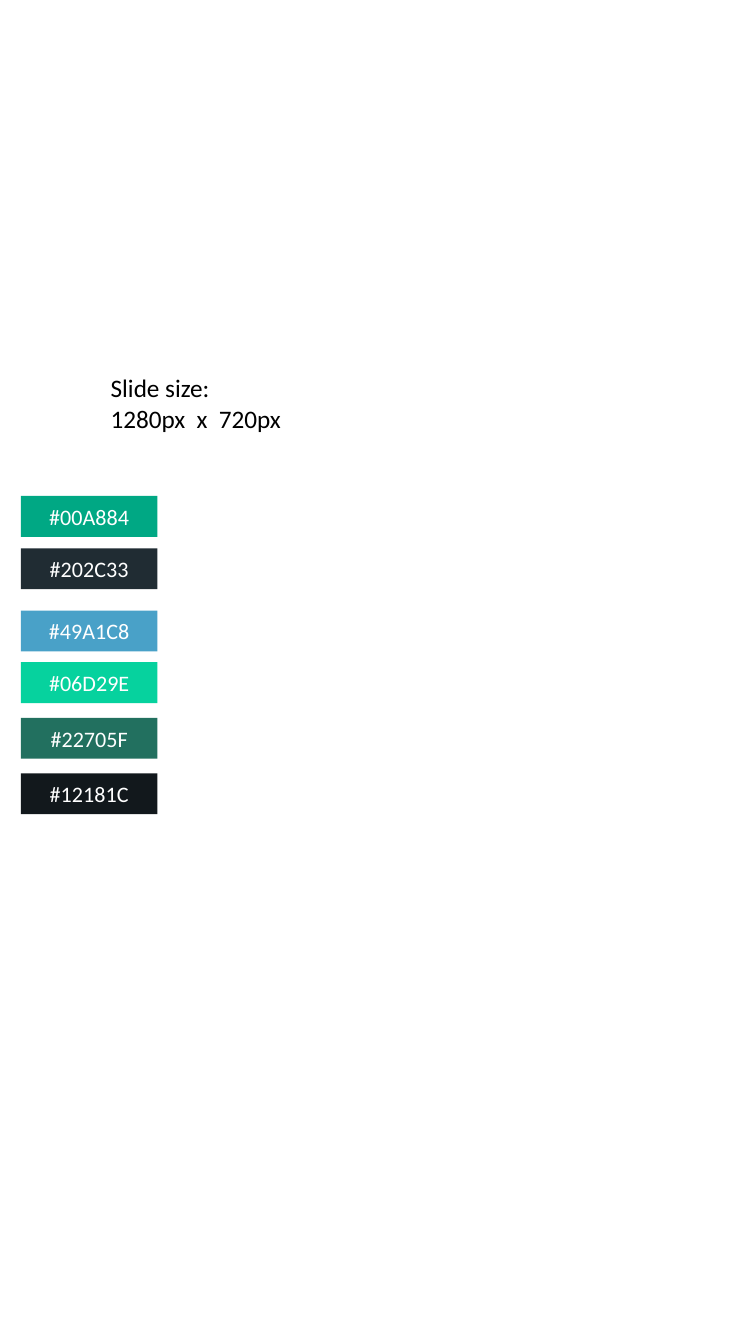
from dataclasses import dataclass

from pptx import Presentation
from pptx.dml.color import RGBColor
from pptx.enum.shapes import MSO_SHAPE
from pptx.enum.text import MSO_ANCHOR, MSO_AUTO_SIZE, PP_ALIGN
from pptx.util import Cm, Pt


@dataclass(frozen=True)
class Theme:
    """Colours and type sizes of the slide."""

    font: str = "Calibri"
    background: str = "FFFFFF"
    note_color: str = "000000"
    label_color: str = "FFFFFF"
    note_size: float = 18
    label_size: float = 15.8
    swatches: tuple = ("00A884", "202C33", "49A1C8", "06D29E", "22705F", "12181C")


@dataclass(frozen=True)
class Box:
    """A region in centimetres."""

    left: float
    top: float
    width: float
    height: float

    def lengths(self):
        """Return the region as slide lengths."""
        return [Cm(value) for value in (self.left, self.top, self.width, self.height)]


THEME = Theme()
SWATCH_HEIGHT = 1.03
SWATCH_GAPS = (0.29, 0.54, 0.27, 0.37, 0.37)


def set_attributes(target, values):
    """Set each named attribute of the target."""
    for name, value in values.items():
        setattr(target, name, value)


def write_lines(frame, lines, size, color, alignment):
    """Write one paragraph per line in the given style."""
    for index, line in enumerate(lines):
        paragraph = frame.add_paragraph() if index else frame.paragraphs[0]
        paragraph.alignment = alignment
        run = paragraph.add_run()
        run.text = line
        set_attributes(run.font, {"name": THEME.font, "size": Pt(size)})
        run.font.color.rgb = RGBColor.from_string(color)


def add_size_note(slide, box):
    """Add the slide size note in the box."""
    frame = slide.shapes.add_textbox(*box.lengths()).text_frame
    set_attributes(frame, {"word_wrap": True, "auto_size": MSO_AUTO_SIZE.SHAPE_TO_FIT_TEXT})
    lines = ("Slide size: ", "1280px  x  720px")
    write_lines(frame, lines, THEME.note_size, THEME.note_color, PP_ALIGN.LEFT)


def add_swatch(slide, box, color):
    """Add a rectangle labelled with its own colour."""
    shape = slide.shapes.add_shape(MSO_SHAPE.RECTANGLE, *box.lengths())
    shape.shadow.inherit = False
    shape.fill.solid()
    shape.fill.fore_color.rgb = RGBColor.from_string(color)
    shape.line.fill.background()
    frame = shape.text_frame
    set_attributes(frame, {"word_wrap": True, "vertical_anchor": MSO_ANCHOR.MIDDLE})
    write_lines(frame, [f"#{color}"], THEME.label_size, THEME.label_color, PP_ALIGN.CENTER)


def add_palette(slide, box):
    """Stack the swatches from the top of the box."""
    top = box.top
    for color, gap in zip(THEME.swatches, (*SWATCH_GAPS, 0)):
        add_swatch(slide, Box(box.left, top, box.width, SWATCH_HEIGHT), color)
        top += SWATCH_HEIGHT + gap


def build_presentation():
    """Build the palette slide and save it."""
    presentation = Presentation()
    set_attributes(presentation, {"slide_width": Cm(19.05), "slide_height": Cm(33.87)})
    slide = presentation.slides.add_slide(presentation.slide_layouts[6])
    slide.background.fill.solid()
    slide.background.fill.fore_color.rgb = RGBColor.from_string(THEME.background)
    add_palette(slide, Box(0.53, 12.5, 3.44, 8.02))
    add_size_note(slide, Box(2.54, 9.27, 6.1, 1.8))
    presentation.save("out.pptx")


build_presentation()
